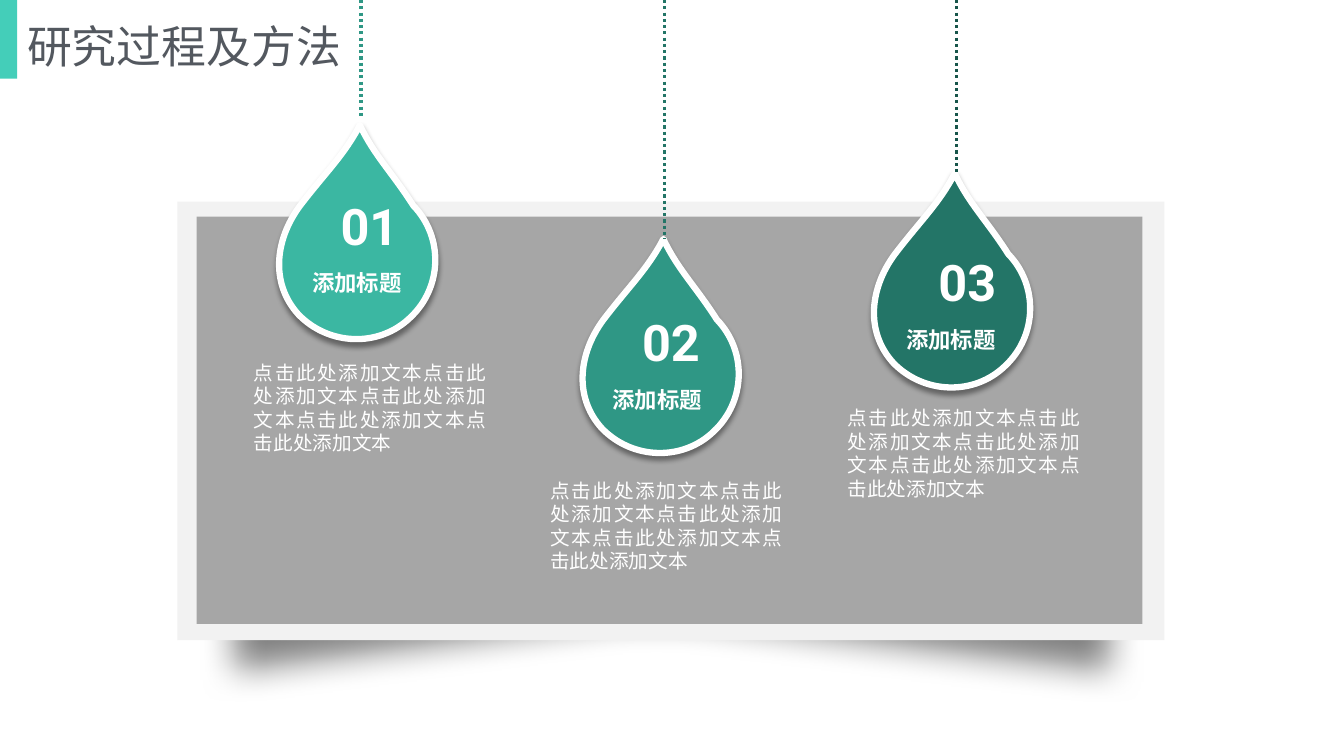
from dataclasses import dataclass

from lxml.etree import SubElement
from pptx import Presentation
from pptx.dml.color import RGBColor
from pptx.enum.dml import MSO_LINE
from pptx.enum.shapes import MSO_CONNECTOR, MSO_SHAPE
from pptx.enum.text import MSO_AUTO_SIZE, PP_ALIGN
from pptx.oxml.ns import qn
from pptx.util import Pt

PX = 9144


@dataclass(frozen=True)
class Theme:
    accent: str = "44CEB9"
    heading: str = "53585F"
    white: str = "FFFFFF"
    frame: str = "F2F2F2"
    panel: str = "A6A6A6"
    shade: str = "808080"
    cjk: str = "Noto Sans CJK SC"
    digits: str = "Roboto"
    body: str = "Arial"
    heading_size: int = 32
    number_size: int = 36
    label_size: int = 16
    body_size: int = 14


@dataclass(frozen=True)
class Step:
    number: str
    fill: str
    cord: str
    tip: tuple
    number_at: tuple
    label_at: tuple
    body_at: tuple
    cord_end: tuple


THEME = Theme()
LABEL = "添加标题"
BODY = "点击此处添加文本" * 5
STEPS = (
    Step("01", "3BB7A2", "2F9785", (357, 124), (-29, 76), (-81, 143), (-115, 229), (1, -7)),
    Step("02", "2F9785", "237567", (658, 237), (-31, 78), (-84, 146), (-122, 233), (1, 0)),
    Step("03", "237567", "17554A", (947, 172), (-26, 84), (-82, 152), (-116, 226), (2, 0)),
)
DROP_START = (-61, 188)
DROP_CURVES = (
    (-90, 156), (-84, 111), (-57, 77),
    (-33, 46), (-15, 29), (0, 0),
    (14, 30), (32, 47), (53, 80),
    (83, 111), (82, 161), (50, 191),
    (19, 221), (-31, 219), (-61, 188),
)


def emu(*lengths):
    return [length * PX for length in lengths]


def shift(origin, offset):
    return origin[0] + offset[0], origin[1] + offset[1]


def paint(shape, color):
    shape.fill.solid()
    shape.fill.fore_color.rgb = RGBColor.from_string(color)
    shape.line.fill.background()
    shape.shadow.inherit = False


def add_rect(slide, box, color):
    rect = slide.shapes.add_shape(MSO_SHAPE.RECTANGLE, *emu(*box))
    paint(rect, color)


def add_outline(slide, start, points):
    builder = slide.shapes.build_freeform(*start, scale=PX)
    builder.add_line_segments(points, close=True)
    return builder.convert_to_shape()


def add_text(slide, box, text, font, size, color, bold=False, align=None, spacing=None):
    frame = slide.shapes.add_textbox(*emu(*box)).text_frame
    frame.word_wrap = True
    frame.auto_size = MSO_AUTO_SIZE.SHAPE_TO_FIT_TEXT
    paragraph = frame.paragraphs[0]
    paragraph.alignment = align
    paragraph.line_spacing = spacing
    run = paragraph.add_run()
    run.text = text
    run.font.name = font
    run.font.size = Pt(size)
    run.font.bold = bold
    run.font.color.rgb = RGBColor.from_string(color)
    SubElement(run.font._element, qn("a:ea"), typeface=font)


def add_header(slide, box):
    left, top, width, height = box
    add_rect(slide, (left, top, 17, height), THEME.accent)
    add_text(slide, (left + 17, top + 14, width - 17, 64), "研究过程及方法",
             THEME.cjk, THEME.heading_size, THEME.heading)


def add_panel(slide, box):
    left, top, width, height = box
    shade = add_outline(
        slide, (left + 23, top + 114),
        [(left + 958, top + 114), (left + 958, top + 507),
         (left + 475, top + 448), (left + 23, top + 507)])
    paint(shade, THEME.shade)
    effects = shade._element.spPr.find(qn("a:effectLst"))
    SubElement(effects, qn("a:softEdge"), rad=str(Pt(25)))
    add_rect(slide, box, THEME.frame)
    add_rect(slide, (left + 19, top + 15, width - 41, height - 31), THEME.panel)


def add_drop(slide, tip, color):
    drop = add_outline(slide, shift(tip, DROP_START),
                       [shift(tip, point) for point in DROP_CURVES])
    outline = drop._element.spPr.find(".//" + qn("a:path"))
    corners = outline.findall(qn("a:lnTo"))
    for first in range(0, len(corners), 3):
        curve = SubElement(outline, qn("a:cubicBezTo"))
        for corner in corners[first:first + 3]:
            curve.append(corner[0])
            outline.remove(corner)
    outline.append(outline.find(qn("a:close")))
    paint(drop, color)
    drop.line.color.rgb = RGBColor.from_string(THEME.white)
    drop.line.width = Pt(4.5)
    effects = drop._element.spPr.find(qn("a:effectLst"))
    shadow = SubElement(effects, qn("a:outerShdw"), blurRad=str(Pt(4)),
                        dist=str(Pt(3)), dir="5400000", rotWithShape="0")
    black = SubElement(shadow, qn("a:srgbClr"), val="000000")
    SubElement(black, qn("a:alpha"), val="40000")


def add_cord(slide, end, color):
    x, bottom = end
    cord = slide.shapes.add_connector(MSO_CONNECTOR.STRAIGHT, *emu(x, 0, x, bottom))
    cord.line.color.rgb = RGBColor.from_string(color)
    cord.line.width = Pt(2.25)
    cord.line.dash_style = MSO_LINE.ROUND_DOT
    SubElement(cord._element.spPr, qn("a:effectLst"))


def add_step(slide, step):
    add_drop(slide, step.tip, step.fill)
    add_text(slide, (*shift(step.tip, step.body_at), 250, 104), BODY,
             THEME.body, THEME.body_size, THEME.white, align=PP_ALIGN.JUSTIFY)
    add_text(slide, (*shift(step.tip, step.label_at), 156, 32), LABEL,
             THEME.cjk, THEME.label_size, THEME.white, True, PP_ALIGN.CENTER, 0.8)
    add_text(slide, (*shift(step.tip, step.number_at), 117, 69), step.number,
             THEME.digits, THEME.number_size, THEME.white, True, spacing=0.8)
    add_cord(slide, shift(step.tip, step.cord_end), step.cord)


def main():
    deck = Presentation()
    deck.slide_width, deck.slide_height = emu(1333, 750)
    slide = deck.slides.add_slide(deck.slide_layouts[6])
    add_header(slide, (0, 0, 408, 78))
    add_panel(slide, (176, 200, 979, 435))
    for step in STEPS:
        add_step(slide, step)
    deck.save("out.pptx")


if __name__ == "__main__":
    main()
